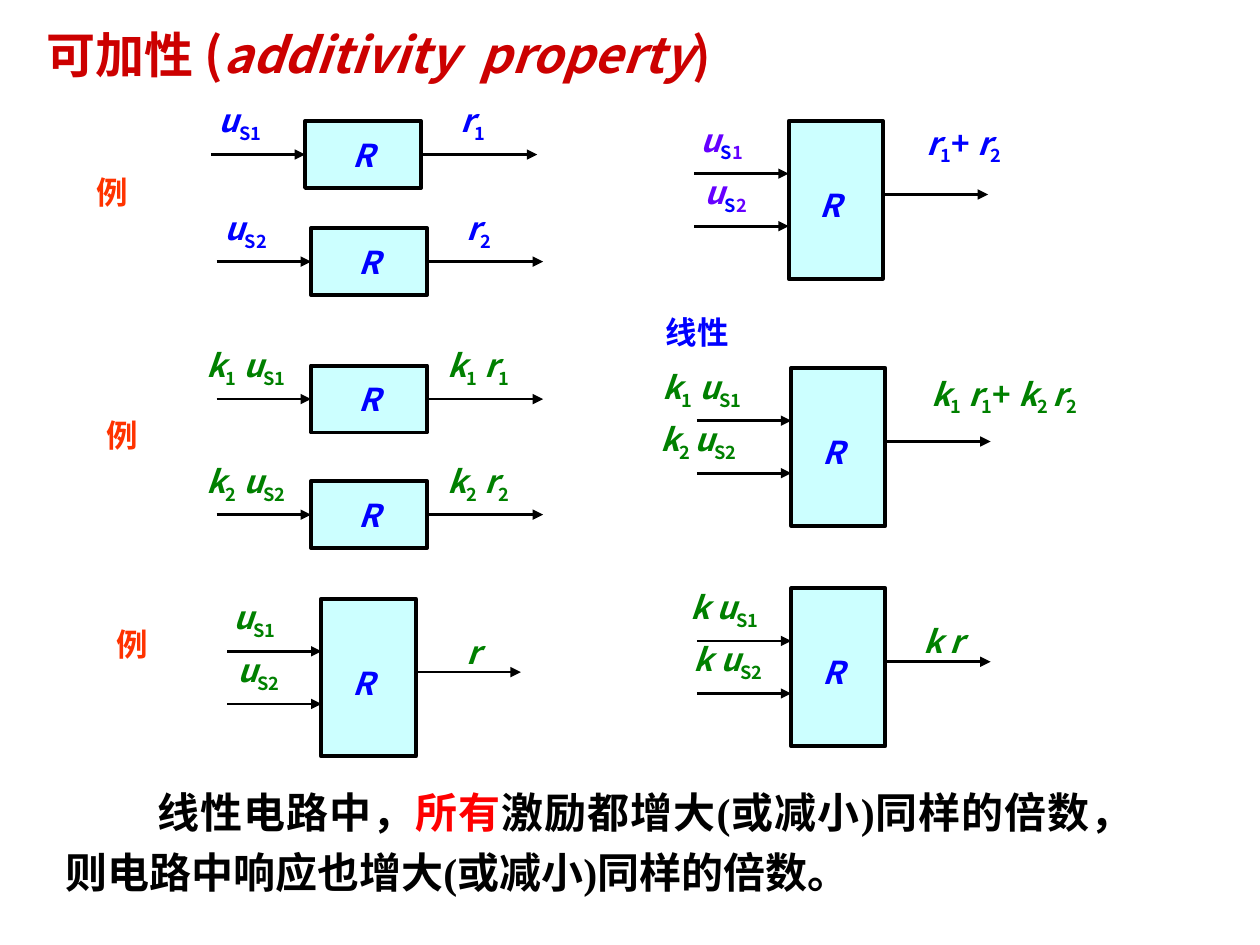
from lxml import etree
from pptx import Presentation
from pptx.dml.color import RGBColor
from pptx.enum.shapes import MSO_CONNECTOR, MSO_SHAPE
from pptx.enum.text import MSO_ANCHOR, MSO_AUTO_SIZE, PP_ALIGN
from pptx.oxml.ns import qn
from pptx.util import Cm, Pt

STRAIGHT, RECT = MSO_CONNECTOR.STRAIGHT, MSO_SHAPE.RECTANGLE
MIDDLE, NO_FIT = MSO_ANCHOR.MIDDLE, MSO_AUTO_SIZE.NONE
LEFT, CENTER, JUSTIFY = PP_ALIGN.LEFT, PP_ALIGN.CENTER, PP_ALIGN.JUSTIFY

SANS, SERIF = "Noto Sans CJK SC", "Times New Roman"
COLORS = {
    "title": "CC0000", "black": "000000", "red": "FF0000", "orange": "FF3300",
    "blue": "0000FF", "green": "008000", "purple": "6600FF", "box": "CCFFFF",
}

# Runs: (text, colour, italic, subscript)
TITLE = [("可加性 (", "title", False, False),
         ("additivity  property", "title", True, False),
         (")", "title", False, False)]
CONCLUSION = [
    ("线性电路中，", "black", False, False),
    ("所有", "red", False, False),
    ("激励都增大(或减小)同样的倍数，则电路中响应也增大(或减小)同样的倍数。",
     "black", False, False),
]

# Headings: text, colour, left, top, width, height (cm)
HEADINGS = [
    ("例", "orange", 1.7, 3.35, 1.14, 1.04),
    ("例", "orange", 1.9, 8.25, 1.14, 1.04),
    ("例", "orange", 2.1, 12.47, 1.14, 1.04),
    ("线性", "blue", 12.95, 6.05, 2.21, 1.27),
]

# Formulas alternate base text and subscript, separated by "|".
# One input: box left, top, colour, input, output
SINGLE = [
    (6.15, 2.44, "blue", "u|S1", "r|1"),
    (6.27, 4.6, "blue", "u|S2", "r|2"),
    (6.27, 7.37, "green", "k|1| u|S1", "k|1| r|1"),
    (6.27, 9.7, "green", "k|2| u|S2", "k|2| r|2"),
]
# Two inputs: box left, top, input colour, output colour,
# (input, centre x from box), output, (centre x, bottom y from box)
DOUBLE = [
    (6.48, 12.07, "green", "green", [("u|S1", -1.35), ("u|S2", -1.27)],
     "r", (3.06, 1.7)),
    (15.95, 11.86, "green", "green", [("k u|S1", -1.35), ("k u|S2", -1.27)],
     "k r", (3.06, 1.7)),
    (15.9, 2.44, "purple", "blue", [("u|S||1", -1.35), ("u|S||2", -1.27)],
     "r|1|+ ||r|2", (3.54, 1.12)),
    (15.95, 7.42, "green", "green", [("k|1| u|S1", -1.8), ("k|2 |u|S2", -1.87)],
     "k|1| r|1|+ ||k|2 |r|2", (4.29, 1.2)),
]

SINGLE_SIZE, DOUBLE_SIZE = (2.34, 1.35), (1.9, 3.18)
WIRE_IN = 1.9
LABEL_H, PADDING = 1.27, 0.51
BASE_WIDTHS = {"k": 0.41, "u": 0.53, "r": 0.33, "R": 0.56, "+": 0.41, " ": 0.23}
SUB_WIDTHS = {"S": 0.26, "1": 0.28, "2": 0.28, " ": 0.15}


def rgb(name):
    return RGBColor.from_string(COLORS[name])


def write(shape, runs, size, font=SANS, align=CENTER, wrap=True):
    tf = shape.text_frame
    tf.auto_size, tf.word_wrap, tf.vertical_anchor = NO_FIT, wrap, MIDDLE
    p = tf.paragraphs[0]
    p.alignment = align
    for text, color, italic, sub in runs:
        r = p.add_run()
        r.text = text
        f = r.font
        f.size, f.name, f.bold, f.italic = Pt(size), font, True, italic
        f.color.rgb = rgb(color)
        rPr = f._element
        etree.SubElement(rPr, qn("a:ea")).set("typeface", SANS)
        if sub:
            rPr.set("baseline", "-25000")
    return p


def text_box(s, x, y, w, h, runs, size, **style):
    tb = s.shapes.add_textbox(Cm(x), Cm(y), Cm(w), Cm(h))
    return write(tb, runs, size, **style)


def label(s, formula, color, center, bottom):
    """Place a formula by its centre and bottom; a lone subscript S is blue."""
    runs, width = [], PADDING
    for i, text in enumerate(formula.split("|")):
        sub = i % 2 == 1
        widths = SUB_WIDTHS if sub else BASE_WIDTHS
        width += sum(widths[c] for c in text)
        if text:
            italic = not sub and text != "+ "
            runs.append((text, "blue" if text == "S" else color, italic, sub))
    text_box(s, center - width / 2, bottom - LABEL_H, width, LABEL_H, runs, 18,
             wrap=False)


def arrow(s, x, y, length):
    c = s.shapes.add_connector(STRAIGHT, Cm(x), Cm(y), Cm(x + length), Cm(y))
    c.line.color.rgb, c.line.width = rgb("black"), Pt(1.5)
    spPr = c._element.spPr
    etree.SubElement(c.line._get_or_add_ln(), qn("a:tailEnd")).set("type", "triangle")
    etree.SubElement(spPr, qn("a:effectLst"))


def box(s, x, y, size):
    b = s.shapes.add_shape(RECT, Cm(x), Cm(y), Cm(size[0]), Cm(size[1]))
    b.shadow.inherit = False
    b.fill.solid()
    b.fill.fore_color.rgb = rgb("box")
    b.line.color.rgb, b.line.width = rgb("black"), Pt(2.25)
    return b


def single_block(s, x, y, color, source, response):
    w, h = SINGLE_SIZE
    mid = y + h / 2
    write(box(s, x, y, SINGLE_SIZE), [("R", "blue", True, False)], 18)
    arrow(s, x - WIRE_IN, mid, WIRE_IN)
    arrow(s, x + w, mid, w)
    label(s, source, color, x - 1.31, mid)
    label(s, response, color, x + 3.38, mid)


def double_block(s, x, y, in_color, out_color, sources, response, out_at):
    w, h = DOUBLE_SIZE
    box(s, x, y, DOUBLE_SIZE)
    for i, (source, dx) in enumerate(sources, 1):
        wire_y = y + i * h / 3
        arrow(s, x - WIRE_IN, wire_y, WIRE_IN)
        label(s, source, in_color, x + dx, wire_y)
    arrow(s, x + w, y + 1.48, 2.12)
    label(s, response, out_color, x + out_at[0], y + out_at[1])
    label(s, "R", "blue", x + 0.84, y + 2.33)


def main():
    prs = Presentation()
    prs.slide_width, prs.slide_height = Cm(25.4), Cm(19.05)
    s = prs.slides.add_slide(prs.slide_layouts[5])

    title = s.shapes.title
    title.left, title.top, title.width, title.height = (
        Cm(0.69), Cm(0.36), Cm(21.74), Cm(1.45))
    write(title, TITLE, 28, align=LEFT)

    p = text_box(s, 1.07, 15.52, 22.02, 2.69, CONCLUSION, 24,
                 font=SERIF, align=JUSTIFY)
    p.line_spacing = 1.2
    p._p.get_or_add_pPr().set("indent", str(Cm(1.85)))

    for text, color, x, y, w, h in HEADINGS:
        text_box(s, x, y, w, h, [(text, color, False, False)], 18, wrap=False)
    for block in SINGLE:
        single_block(s, *block)
    for block in DOUBLE:
        double_block(s, *block)

    prs.save("out.pptx")


if __name__ == "__main__":
    main()
